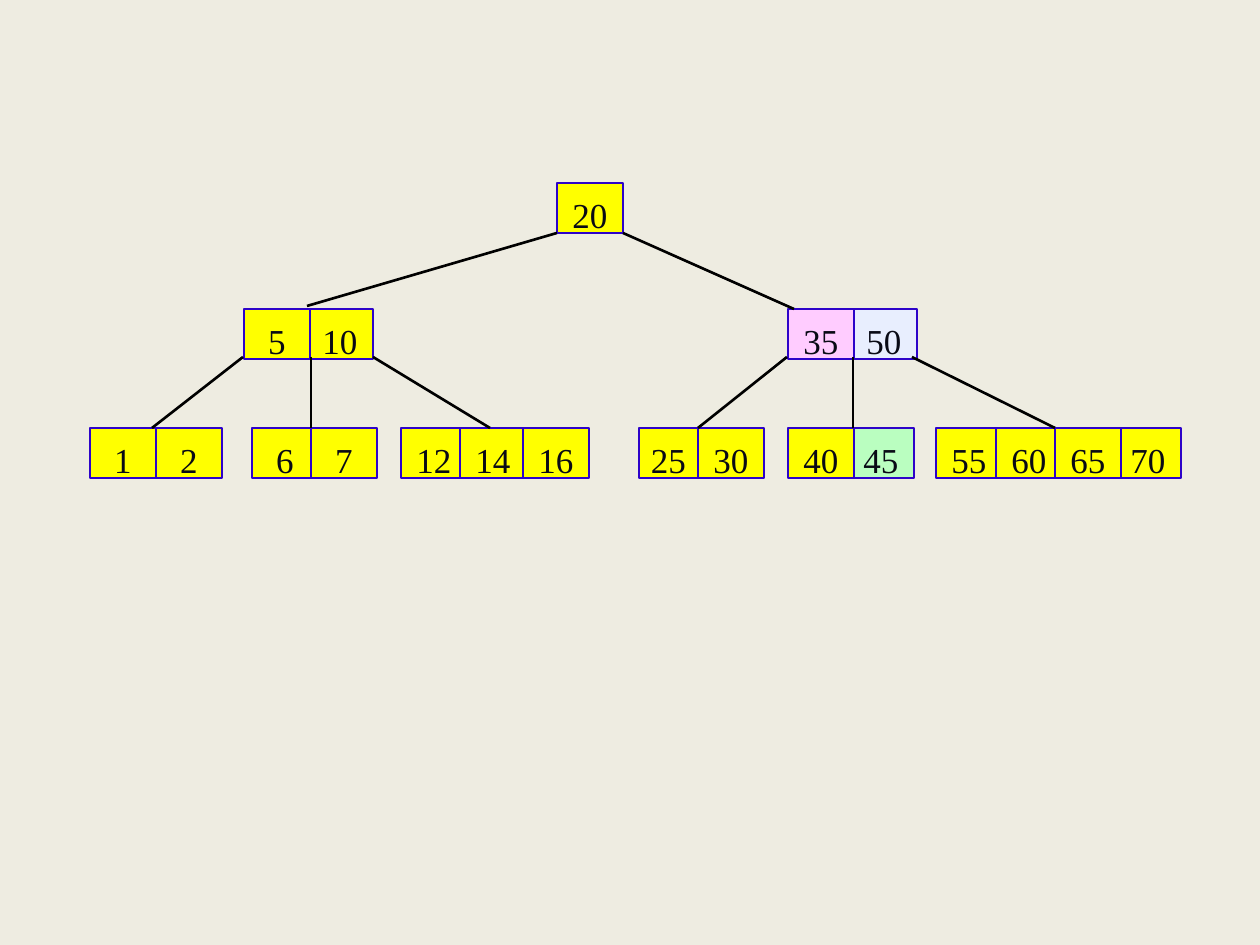
"""Builds a slide with a B-tree of three levels."""
from typing import NamedTuple

import pptx
import pptx.dml.color
import pptx.enum.shapes
import pptx.enum.text
import pptx.oxml
import pptx.oxml.ns
import pptx.util

RGBColor = pptx.dml.color.RGBColor
Alignment = pptx.enum.text.PP_ALIGN

EMU_PER_PIXEL = 914400 / 126
SLIDE_WIDTH, SLIDE_HEIGHT = 1260, 945
KEY_WIDTH, KEY_HEIGHT = 66, 50
SIDE_INSET, TOP_INSET = 12, 11
ROOT_TOP, MIDDLE_TOP, LEAF_TOP = 183, 309, 428
MIDDLE_EXIT = 357

BACKGROUND = RGBColor(0xEE, 0xEC, 0xE1)
YELLOW = RGBColor(0xFF, 0xFF, 0x00)
PINK = RGBColor(0xFF, 0xCC, 0xFF)
PALE_BLUE = RGBColor(0xE8, 0xEE, 0xFE)
GREEN = RGBColor(0xBA, 0xFE, 0xC0)
BORDER = RGBColor(0x2D, 0x03, 0xC9)
INK = RGBColor(0x09, 0x0A, 0x15)
BLACK = RGBColor(0x00, 0x00, 0x00)


class Key(NamedTuple):
    value: int
    left: int
    fill: RGBColor = YELLOW
    alignment: Alignment = Alignment.CENTER


class Branch(NamedTuple):
    start_x: int
    start_y: int
    end_x: int
    end_y: int


LEVELS = {
    ROOT_TOP: [Key(20, 557)],
    MIDDLE_TOP: [
        Key(10, 307), Key(5, 244),
        Key(50, 851, PALE_BLUE), Key(35, 788, PINK),
    ],
    LEAF_TOP: [
        Key(1, 90), Key(2, 156),
        Key(6, 252), Key(7, 311),
        Key(12, 401), Key(14, 460), Key(16, 523),
        Key(25, 639, alignment=Alignment.LEFT), Key(30, 698),
        Key(45, 848, GREEN), Key(40, 788),
        Key(55, 936), Key(70, 1115), Key(60, 996), Key(65, 1055),
    ],
}

BRANCHES = [
    Branch(557, 233, 307, 306),
    Branch(623, 233, 794, MIDDLE_TOP),
    Branch(243, MIDDLE_EXIT, 152, LEAF_TOP),
    Branch(311, MIDDLE_EXIT, 311, LEAF_TOP),
    Branch(373, MIDDLE_EXIT, 490, LEAF_TOP),
    Branch(787, MIDDLE_EXIT, 698, LEAF_TOP),
    Branch(853, MIDDLE_EXIT, 853, LEAF_TOP),
    Branch(912, MIDDLE_EXIT, 1055, LEAF_TOP),
]


def emu(pixels: int) -> pptx.util.Emu:
    return pptx.util.Emu(round(pixels * EMU_PER_PIXEL))


def write_text(shape, text: str, *, alignment: Alignment, size: int = 20,
               color: RGBColor = INK, font_name: str = "Times New Roman") -> None:
    frame = shape.text_frame
    frame.vertical_anchor = pptx.enum.text.MSO_ANCHOR.TOP
    frame.margin_left = frame.margin_right = emu(SIDE_INSET)
    frame.margin_top, frame.margin_bottom = emu(TOP_INSET), 0
    paragraph = frame.paragraphs[0]
    paragraph.alignment = alignment
    run = paragraph.add_run()
    run.text = text
    run.font.name = font_name
    run.font.size = pptx.util.Pt(size)
    run.font.color.rgb = color


def set_line(line, color: RGBColor) -> None:
    line.color.rgb = color
    line.width = pptx.util.Pt(1.5)


def draw_key(slide, key: Key, top: int) -> None:
    shape = slide.shapes.add_shape(
        pptx.enum.shapes.MSO_SHAPE.RECTANGLE,
        emu(key.left), emu(top), emu(KEY_WIDTH), emu(KEY_HEIGHT))
    shape.shadow.inherit = False
    shape.fill.solid()
    shape.fill.fore_color.rgb = key.fill
    set_line(shape.line, BORDER)
    write_text(shape, str(key.value), alignment=key.alignment)


def draw_branch(slide, branch: Branch) -> None:
    connector = slide.shapes.add_connector(
        pptx.enum.shapes.MSO_CONNECTOR.STRAIGHT, *map(emu, branch))
    set_line(connector.line, BLACK)
    properties = connector._element.spPr
    properties.append(pptx.oxml.parse_xml(
        f"<a:effectLst {pptx.oxml.ns.nsdecls('a')}/>"))


def main() -> None:
    presentation = pptx.Presentation()
    presentation.slide_width = emu(SLIDE_WIDTH)
    presentation.slide_height = emu(SLIDE_HEIGHT)
    slide = presentation.slides.add_slide(presentation.slide_layouts[6])
    slide.background.fill.solid()
    slide.background.fill.fore_color.rgb = BACKGROUND
    for top, keys in LEVELS.items():
        for key in keys:
            draw_key(slide, key, top)
    for branch in BRANCHES:
        draw_branch(slide, branch)
    presentation.save("out.pptx")


main()
